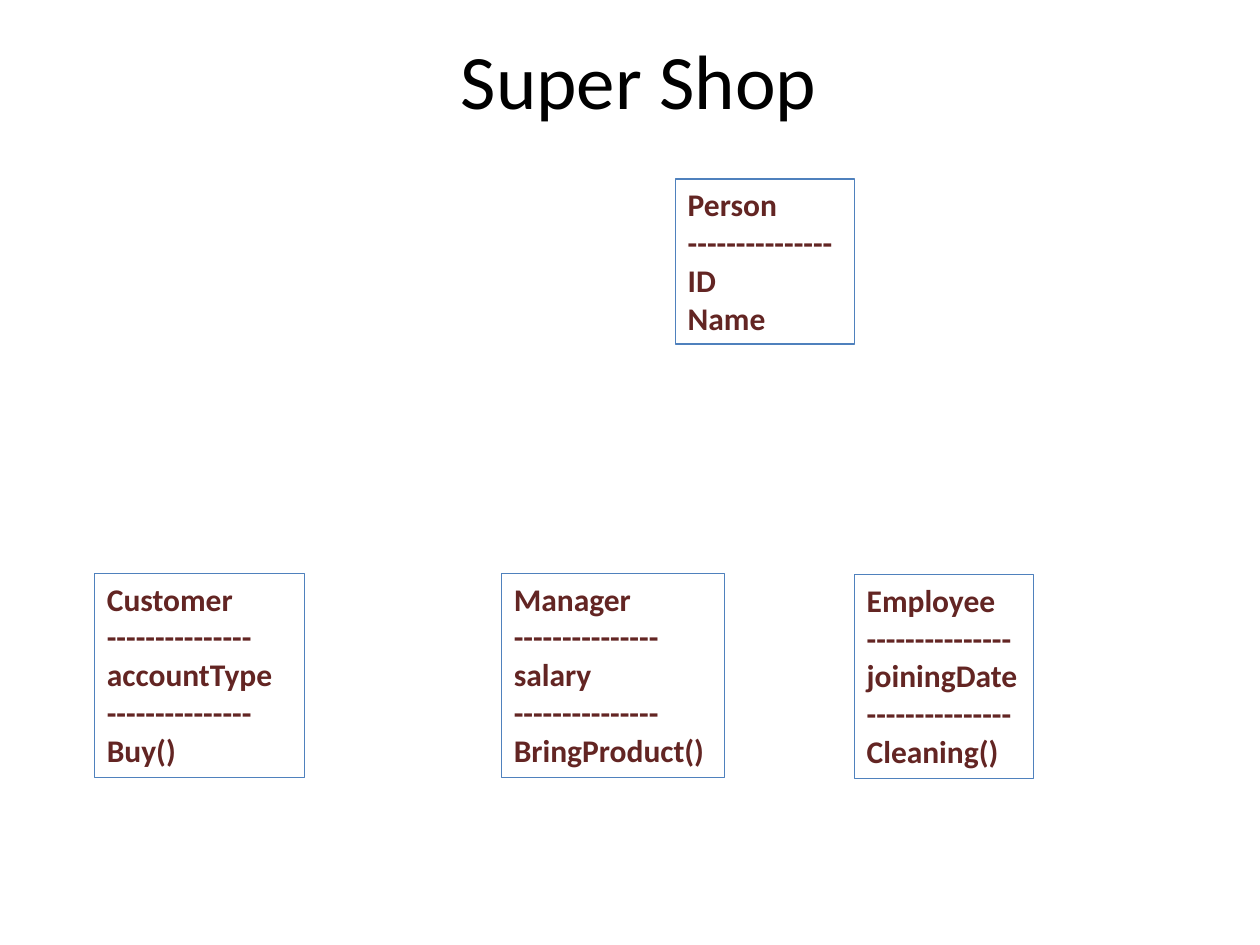
from dataclasses import dataclass

from pptx import Presentation
from pptx.dml.color import RGBColor
from pptx.enum.shapes import MSO_SHAPE as Shape
from pptx.enum.text import MSO_ANCHOR as Anchor, MSO_AUTO_SIZE as AutoSize, PP_ALIGN as Align
from pptx.slide import Slide
from pptx.util import Inches, Pt


@dataclass(frozen=True)
class Theme:
    font: str = "Calibri"
    title_size: Pt = Pt(44)
    body_size: Pt = Pt(18)
    title: RGBColor = RGBColor(0x00, 0x00, 0x00)
    text: RGBColor = RGBColor(0x63, 0x25, 0x23)
    border: RGBColor = RGBColor(0x4F, 0x81, 0xBD)
    border_width: Pt = Pt(0.75)


@dataclass(frozen=True)
class ClassBox:
    left: float
    top: float
    width: float
    height: float
    sections: tuple[tuple[str, ...], ...]


THEME = Theme()
DIVIDER = "-" * 15
CLASSES = (
    ClassBox(0.75, 4.55, 1.67, 1.62, (("Customer",), ("accountType",), ("Buy()",))),
    ClassBox(3.98, 4.55, 1.77, 1.62, (("Manager",), ("salary",), ("BringProduct()",))),
    ClassBox(6.78, 4.56, 1.42, 1.62, (("Employee",), ("joiningDate",), ("Cleaning()",))),
    ClassBox(5.36, 1.42, 1.42, 1.31, (("Person",), ("ID", "Name"))),
)


def draw_title(s: Slide, text: str) -> None:
    sp = s.shapes.title
    sp.left, sp.top = Inches(0.57), Inches(0)
    sp.width, sp.height = Inches(9), Inches(1.25)
    tf = sp.text_frame
    tf.text = text
    tf.vertical_anchor = Anchor.MIDDLE
    p = tf.paragraphs[0]
    p.alignment = Align.CENTER
    p.font.name = THEME.font
    p.font.size = THEME.title_size
    p.font.color.rgb = THEME.title


def draw_class(s: Slide, box: ClassBox) -> None:
    sp = s.shapes.add_shape(
        Shape.RECTANGLE,
        Inches(box.left), Inches(box.top), Inches(box.width), Inches(box.height),
    )
    sp.shadow.inherit = False
    sp.fill.background()
    sp.line.color.rgb = THEME.border
    sp.line.width = THEME.border_width
    tf = sp.text_frame
    tf.word_wrap = True
    tf.auto_size = AutoSize.SHAPE_TO_FIT_TEXT
    tf.vertical_anchor = Anchor.TOP
    tf.text = f"\n{DIVIDER}\n".join("\n".join(lines) for lines in box.sections)
    for p in tf.paragraphs:
        p.alignment = Align.LEFT
        p.font.name = THEME.font
        p.font.size = THEME.body_size
        p.font.bold = True
        p.font.color.rgb = THEME.text


def main() -> None:
    prs = Presentation()
    prs.slide_width, prs.slide_height = Inches(10), Inches(7.5)
    s = prs.slides.add_slide(prs.slide_layouts[5])
    draw_title(s, "Super Shop")
    for box in CLASSES:
        draw_class(s, box)
    prs.save("out.pptx")


if __name__ == "__main__":
    main()
